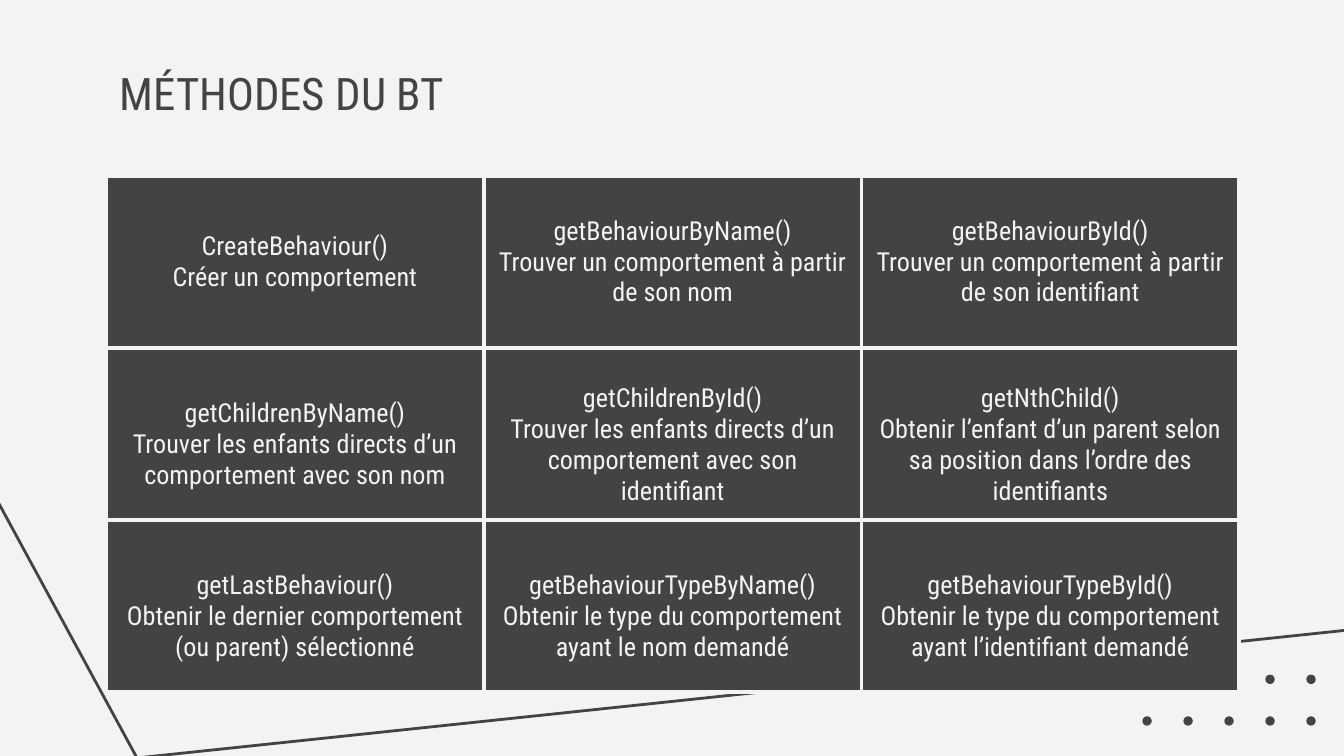
from copy import deepcopy
from dataclasses import dataclass

from lxml import etree
from pptx import Presentation
from pptx import util as u
from pptx.dml.color import RGBColor
from pptx.enum import shapes, text
from pptx.oxml import ns


@dataclass(frozen=True)
class Theme:
    dark: str = "434343"
    light: str = "F3F3F3"
    font: str = "Roboto Condensed"
    title_size: float = 24
    cell_size: float = 14
    line_width: float = 1.5
    border_width: float = 2.25


@dataclass(frozen=True)
class Grid:
    left: float
    top: float
    column: float
    row: float

    def corner(self, column: int, row: int) -> tuple[float, float]:
        return self.left + column * self.column, self.top + row * self.row


@dataclass(frozen=True)
class Method:
    name: str
    purpose: str


THEME = Theme()
WIDTH = 10
HEIGHT = WIDTH * 9 / 16
CELLS = Grid(0.79, 1.31, 2.81, 1.28)
DOTS = Grid(8.5, 5.02, 1.22 / 4, 0.31)
DOT_SIZE = 0.07
VISIBLE_DOTS = ((0, range(3, 5)), (1, range(5)))
BROKEN_LINE = ((-0.12, 3.54), (1.02, 5.64), (10.11, 4.68))
METHODS = (
    (Method("CreateBehaviour()", "Créer un comportement"),
     Method("getBehaviourByName()", "Trouver un comportement à partir de son nom"),
     Method("getBehaviourById()", "Trouver un comportement à partir de son identifiant")),
    (Method("getChildrenByName()", "Trouver les enfants directs d’un comportement avec son nom"),
     Method("getChildrenById()",
            "Trouver les enfants directs d’un comportement avec son identifiant"),
     Method("getNthChild()",
            "Obtenir l’enfant d’un parent selon sa position dans l’ordre des identifiants")),
    (Method("getLastBehaviour()", "Obtenir le dernier comportement (ou parent) sélectionné"),
     Method("getBehaviourTypeByName()", "Obtenir le type du comportement ayant le nom demandé"),
     Method("getBehaviourTypeById()",
            "Obtenir le type du comportement ayant l’identifiant demandé")),
)


def paint(fill, color: str) -> None:
    fill.solid()
    fill.fore_color.rgb = RGBColor.from_string(color)


def write(frame, content: str, *, size: float, color: str, align) -> None:
    """Fill one paragraph; a vertical tab in the content is a line break."""
    frame.word_wrap = True
    para = frame.paragraphs[0]
    para.text = content
    para.alignment = align
    for span in para.runs:
        span.font.name = THEME.font
        span.font.size = u.Pt(size)
        span.font.color.rgb = RGBColor.from_string(color)
    for line_break in para._p.findall(ns.qn("a:br")):
        line_break.append(deepcopy(para.runs[0]._r.rPr))


def add_border(cell) -> None:
    properties = cell._tc.get_or_add_tcPr()
    for side in ("lnL", "lnR", "lnT", "lnB"):
        line = etree.SubElement(properties, ns.qn(f"a:{side}"),
                                w=str(u.Pt(THEME.border_width)))
        fill = etree.SubElement(line, ns.qn("a:solidFill"))
        etree.SubElement(fill, ns.qn("a:srgbClr"), val=THEME.light)


def add_dots(page) -> None:
    for row, columns in VISIBLE_DOTS:
        for column in columns:
            left, top = DOTS.corner(column, row)
            dot = page.shapes.add_shape(
                shapes.MSO_SHAPE.OVAL, u.Inches(left), u.Inches(top),
                u.Inches(DOT_SIZE), u.Inches(DOT_SIZE))
            dot.shadow.inherit = False
            paint(dot.fill, THEME.dark)
            dot.line.fill.background()


def add_broken_line(page) -> None:
    start, *others = [(u.Inches(x), u.Inches(y)) for x, y in BROKEN_LINE]
    builder = page.shapes.build_freeform(*start)
    builder.add_line_segments(others, close=False)
    outline = builder.convert_to_shape()
    outline.shadow.inherit = False
    outline.fill.background()
    paint(outline.line.fill, THEME.dark)
    outline.line.width = u.Pt(THEME.line_width)


def set_title(page, content: str) -> None:
    title = page.shapes.title
    title.left, title.top = u.Inches(CELLS.left), u.Inches(0.39)
    title.width, title.height = u.Inches(3.52), u.Inches(0.91)
    frame = title.text_frame
    frame.auto_size = text.MSO_AUTO_SIZE.NONE
    frame.vertical_anchor = text.MSO_ANCHOR.TOP
    frame.margin_left = frame.margin_right = u.Inches(0.1)
    frame.margin_top = frame.margin_bottom = u.Inches(0.1)
    write(frame, content, size=THEME.title_size, color=THEME.dark,
          align=text.PP_ALIGN.LEFT)


def add_method_table(page) -> None:
    rows, columns = len(METHODS), len(METHODS[0])
    table = page.shapes.add_table(
        rows, columns, u.Inches(CELLS.left), u.Inches(CELLS.top),
        u.Inches(columns * CELLS.column), u.Inches(rows * CELLS.row)).table
    table.first_row = table.horz_banding = False
    for column in table.columns:
        column.width = u.Inches(CELLS.column)
    for row in table.rows:
        row.height = u.Inches(CELLS.row)
    for r, methods in enumerate(METHODS):
        above, below = (0.16, 0) if r else (0.1, 0.1)
        for c, method in enumerate(methods):
            cell = table.cell(r, c)
            add_border(cell)
            paint(cell.fill, THEME.dark)
            cell.vertical_anchor = text.MSO_ANCHOR.MIDDLE
            cell.margin_left = cell.margin_right = u.Inches(0.1)
            cell.margin_top, cell.margin_bottom = u.Inches(above), u.Inches(below)
            write(cell.text_frame, f"{method.name}\v{method.purpose}",
                  size=THEME.cell_size, color=THEME.light,
                  align=text.PP_ALIGN.CENTER)


def main() -> None:
    deck = Presentation()
    deck.slide_width, deck.slide_height = u.Inches(WIDTH), u.Inches(HEIGHT)
    page = deck.slides.add_slide(deck.slide_layouts[5])
    paint(page.background.fill, THEME.light)
    add_dots(page)
    add_broken_line(page)
    set_title(page, "MÉTHODES DU BT")
    add_method_table(page)
    deck.save("out.pptx")


if __name__ == "__main__":
    main()
